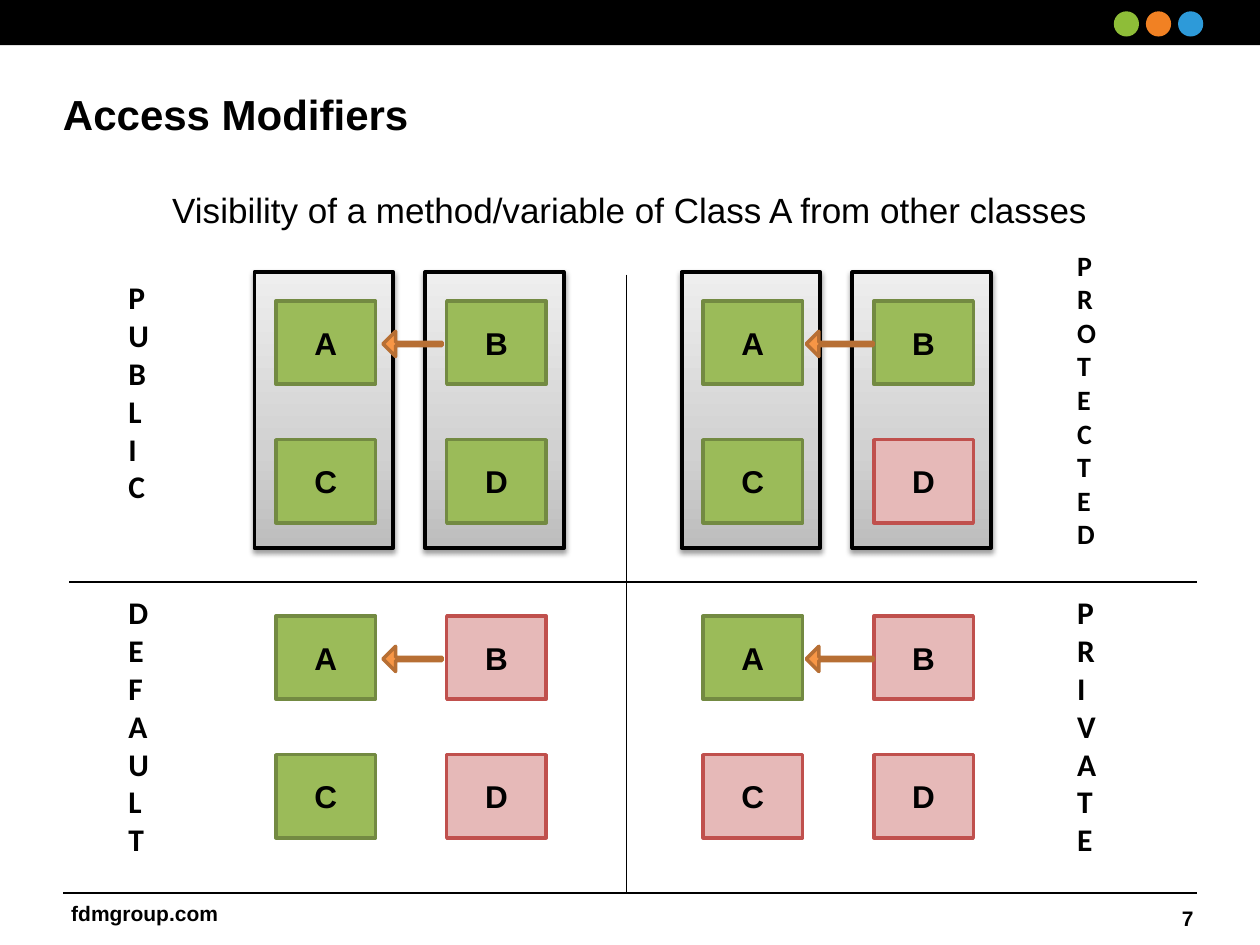
from dataclasses import dataclass

from lxml import etree
from pptx import Presentation
from pptx.dml.color import RGBColor
from pptx.enum.shapes import MSO_CONNECTOR, MSO_SHAPE
from pptx.enum.text import MSO_ANCHOR, MSO_AUTO_SIZE, PP_ALIGN
from pptx.oxml.ns import qn
from pptx.util import Inches, Pt

COLOURS = {
    "black": "000000",
    "dot_green": "8EBD38", "dot_orange": "F18123", "dot_blue": "2D9AD9",
    "visible": "9BBB59", "visible_edge": "738A42",
    "hidden": "E6B9B8", "hidden_edge": "C0504D",
    "arrow": "F79646", "arrow_edge": "B76F34",
    "panel_dark": "BDBDBD", "panel_mid": "D1D1D1", "panel_light": "EEEEEE",
}
BOX_W, BOX_H = 0.79, 0.66
COLUMN_STEP, ROW_STEP = 1.355, 1.1


@dataclass
class Quadrant:
    """One access modifier: its label, its classes and who can see class A."""
    label: str
    label_left: float
    label_top: float
    label_width: float
    label_height: float
    label_size: int
    spacing: float
    left: float
    top: float
    visible: str
    in_packages: bool
    arrow_offset: float
    arrow_width: float


QUADRANTS = [
    Quadrant("DEFAULT", 0.92, 4.66, 0.56, 2.29, 18, -3, 2.19, 4.89, "AC", False, 0.85, 0.47),
    Quadrant("PUBLIC", 0.92, 2.16, 0.56, 1.81, 18, -5.3, 2.19, 2.39, "ABCD", True, 0.85, 0.47),
    Quadrant("PROTECTED", 8.45, 1.92, 0.52, 2.59, 16, -3, 5.58, 2.39, "ABC", True, 0.82, 0.53),
    Quadrant("PRIVATE", 8.45, 4.66, 0.56, 2.29, 18, -3, 5.58, 4.89, "A", False, 0.82, 0.53),
]


def rgb(name: str) -> RGBColor:
    return RGBColor.from_string(COLOURS[name])


def style_text(frame, text: str, size: int, bold: bool = True,
               align: PP_ALIGN = PP_ALIGN.LEFT, font: str = "Arial") -> None:
    paragraph = frame.paragraphs[0]
    paragraph.text = text
    paragraph.alignment = align
    paragraph.font.name = font
    paragraph.font.size = Pt(size)
    paragraph.font.bold = bold
    paragraph.font.color.rgb = rgb("black")


def add_text(slide, left: float, top: float, width: float, height: float,
             text: str, size: int, wrap: bool = True,
             anchor: MSO_ANCHOR = MSO_ANCHOR.TOP, **style):
    frame = slide.shapes.add_textbox(
        Inches(left), Inches(top), Inches(width), Inches(height)).text_frame
    frame.word_wrap = wrap
    frame.vertical_anchor = anchor
    style_text(frame, text, size, **style)
    return frame


def add_block(slide, kind: MSO_SHAPE, left: float, top: float, width: float,
              height: float, fill: str = "", edge: str = "", edge_width: float = 2):
    block = slide.shapes.add_shape(
        kind, Inches(left), Inches(top), Inches(width), Inches(height))
    block.shadow.inherit = False
    if fill:
        block.fill.solid()
        block.fill.fore_color.rgb = rgb(fill)
    if edge:
        block.line.color.rgb = rgb(edge)
        block.line.width = Pt(edge_width)
    else:
        block.line.fill.background()
    return block


def add_line(slide, x1: float, y1: float, x2: float, y2: float, width: float) -> None:
    line = slide.shapes.add_connector(
        MSO_CONNECTOR.STRAIGHT, Inches(x1), Inches(y1), Inches(x2), Inches(y2))
    line.line.color.rgb = rgb("black")
    line.line.width = Pt(width)
    etree.SubElement(line._element.spPr, qn("a:effectLst"))


def add_package(slide, left: float, top: float) -> None:
    """Grey gradient panel with a soft shadow below."""
    panel = add_block(slide, MSO_SHAPE.RECTANGLE, left, top, 1.1, 2.19,
                      edge="black", edge_width=2.25)
    panel.fill.gradient()
    panel.fill.gradient_angle = 90
    properties = panel._element.spPr
    stops = properties.find(qn("a:gradFill")).find(qn("a:gsLst"))
    for stop in list(stops):
        stops.remove(stop)
    for percent, name in ((0, "panel_dark"), (35, "panel_mid"), (100, "panel_light")):
        stop = etree.SubElement(stops, qn("a:gs"), pos=str(percent * 1000))
        etree.SubElement(stop, qn("a:srgbClr"), val=COLOURS[name])
    shadow = etree.SubElement(
        properties.find(qn("a:effectLst")), qn("a:outerShdw"),
        blurRad=str(Pt(3.1)), dist=str(Pt(1.6)), dir="5400000", rotWithShape="0")
    shade = etree.SubElement(shadow, qn("a:srgbClr"), val=COLOURS["black"])
    etree.SubElement(shade, qn("a:alpha"), val="38000")


def add_quadrant(slide, quadrant: Quadrant) -> None:
    if quadrant.in_packages:
        for column in range(2):
            add_package(slide, quadrant.left - 0.17 + column * COLUMN_STEP,
                        quadrant.top - 0.23)

    # Classes A and B on the first row, C and D on the second
    for index, name in enumerate("ABCD"):
        row, column = divmod(index, 2)
        state = "visible" if name in quadrant.visible else "hidden"
        box = add_block(slide, MSO_SHAPE.RECTANGLE,
                        quadrant.left + column * COLUMN_STEP,
                        quadrant.top + row * ROW_STEP,
                        BOX_W, BOX_H, state, state + "_edge")
        box.text_frame.vertical_anchor = MSO_ANCHOR.MIDDLE
        style_text(box.text_frame, name, 18, align=PP_ALIGN.CENTER)

    # Arrow from B to A
    arrow = add_block(slide, MSO_SHAPE.RIGHT_ARROW,
                      quadrant.left + quadrant.arrow_offset, quadrant.top + 0.24,
                      quadrant.arrow_width, 0.2, "arrow", "arrow_edge")
    arrow.adjustments[0] = 0.126
    arrow.adjustments[1] = 0.5
    arrow._element.spPr.find(qn("a:xfrm")).set("flipH", "1")

    # Stacked label
    label = add_text(slide, quadrant.label_left, quadrant.label_top,
                     quadrant.label_width, quadrant.label_height, quadrant.label,
                     quadrant.label_size, wrap=False, font="Calibri")
    label.auto_size = MSO_AUTO_SIZE.SHAPE_TO_FIT_TEXT
    label._txBody.bodyPr.set("vert", "wordArtVert")
    run = label.paragraphs[0].runs[0]
    run._r.get_or_add_rPr().set("spc", str(round(quadrant.spacing * 100)))


def main() -> None:
    deck = Presentation()
    deck.slide_width, deck.slide_height = Inches(10), Inches(7.5)
    slide = deck.slides.add_slide(deck.slide_layouts[6])

    # Header band
    add_block(slide, MSO_SHAPE.RECTANGLE, 0, 0, 10, 0.36, "black")
    for index, name in enumerate(("dot_green", "dot_orange", "dot_blue")):
        add_block(slide, MSO_SHAPE.OVAL, 8.84 + index * 0.255, 0.09, 0.2, 0.2, name)

    # Title and subtitle
    title = add_text(slide, 0.5, 0.7, 9, 0.45, "Access Modifiers", 24)
    title.margin_left = title.margin_right = title.margin_top = 0
    add_text(slide, 0.5, 1.45, 9, 0.5,
             "Visibility of a method/variable of Class A from other classes",
             20, bold=False, align=PP_ALIGN.CENTER)

    # Footer
    add_line(slide, 0.5, 7.09, 9.5, 7.09, 1)
    add_text(slide, 0.44, 7.1, 1.39, 0.3, "fdmgroup.com", 12, wrap=False,
             anchor=MSO_ANCHOR.MIDDLE, align=PP_ALIGN.RIGHT)
    add_text(slide, 7.24, 7.09, 2.33, 0.4, "7", 12,
             anchor=MSO_ANCHOR.MIDDLE, align=PP_ALIGN.RIGHT)

    # Quadrant dividers
    add_line(slide, 4.97, 2.18, 4.97, 7.09, 0.75)
    add_line(slide, 0.55, 4.62, 9.5, 4.62, 0.75)

    for quadrant in QUADRANTS:
        add_quadrant(slide, quadrant)

    deck.save("out.pptx")


if __name__ == "__main__":
    main()
